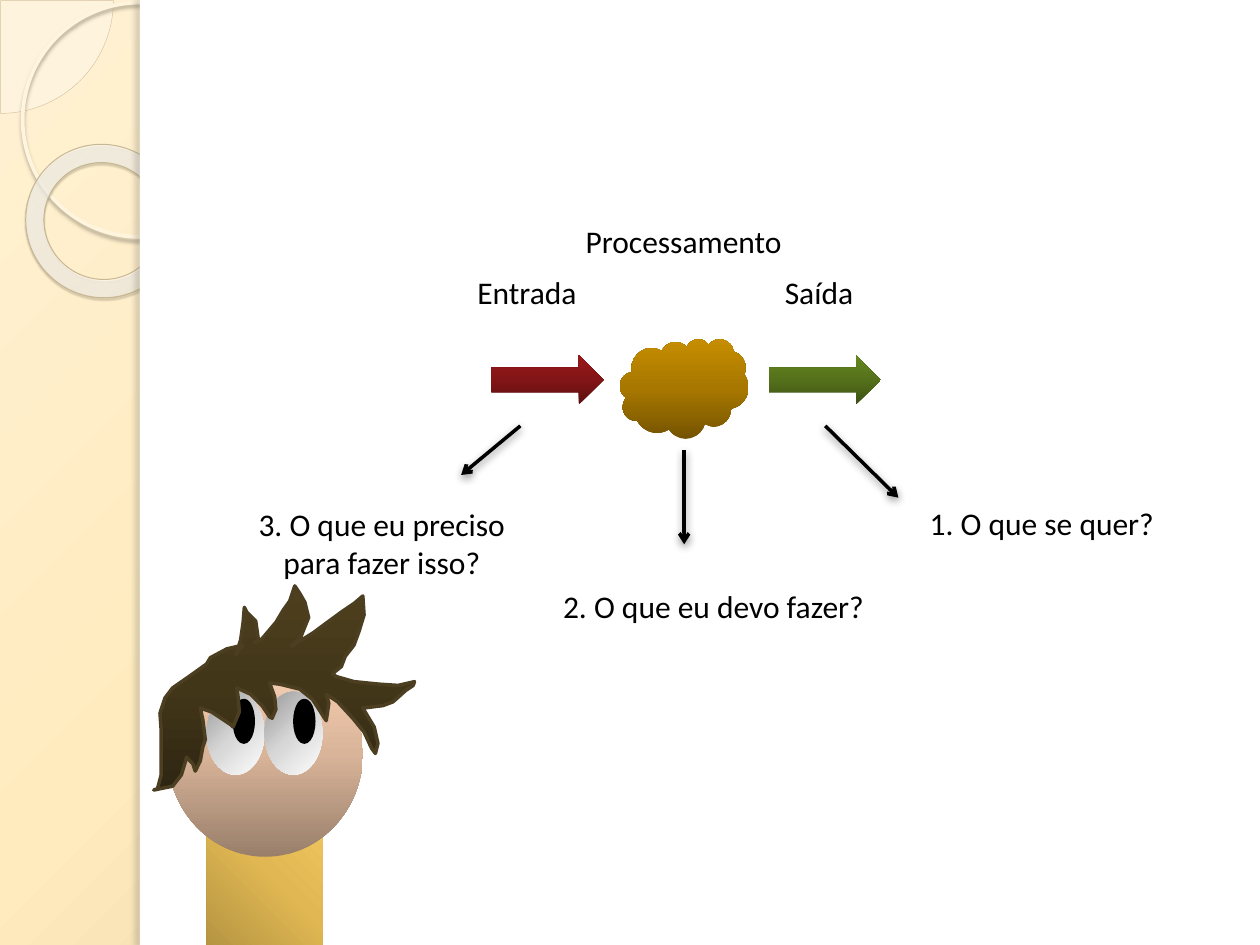
from lxml import etree
from pptx import Presentation
from pptx.dml.color import RGBColor
from pptx.enum import shapes, text
from pptx.oxml.ns import qn
from pptx.util import Inches, Pt

BLACK = RGBColor(0x00, 0x00, 0x00)
WHITE = RGBColor(0xFF, 0xFF, 0xFF)
PIE_FILL = RGBColor(0xFE, 0xFA, 0xF4)
PIE_EDGE = RGBColor(0xD3, 0xC3, 0x9F)
RING = RGBColor(0xFF, 0xF5, 0xDE)
RING_SHADOW = RGBColor(0xB0, 0xA6, 0x8F)
DONUT_EDGE = RGBColor(0xC7, 0xB8, 0x93)
DONUT_SHADOW = RGBColor(0x5A, 0x54, 0x44)
PANEL_SHADOW = RGBColor(0x73, 0x6F, 0x63)
HAIR_EDGE = RGBColor(0x4B, 0x3E, 0x21)


def ramp(*colors, at=(0, 50, 100), alpha=(100, 100, 100)):
    """Gradient stops as (position, colour, opacity)."""
    return list(zip(at, (RGBColor.from_string(c) for c in colors), alpha))


BACKDROP = ramp("FFF1D3", "FFEBBE", "C9B484", at=(0, 40, 100))
DONUT = ramp("FFFCF6", "FFFEFB", "F0D28E", at=(0, 70, 100), alpha=(70, 55, 60))
RED = ramp("5C0F10", "821516", "9B191A")
GOLD = ramp("755400", "A77700", "C68D00")
GREEN = ramp("3C5013", "55711B", "658620")
SHIRT = ramp("9D8139", "E0B752", "FFD56B")
SKIN = ramp("997F6B", "D9B499", "FFD6B8")
EYE = ramp("979797", "D7D7D7", "FFFFFF")
HAIR = ramp("2E2612", "423619", "4E401E")

# Hair outline, in hundredths of an inch
HAIR_POINTS = [
    (266, 533), (271, 529), (274, 521), (281, 512), (285, 501), (289, 488),
    (288, 473), (281, 479), (272, 485), (257, 496), (249, 502), (241, 507),
    (231, 513), (239, 505), (245, 490), (242, 478), (238, 471), (234, 465),
    (230, 477), (225, 484), (219, 494), (208, 507), (202, 510), (205, 507),
    (203, 493), (196, 486), (194, 482), (193, 494), (191, 508), (187, 520),
    (193, 512), (180, 515), (167, 522), (164, 527), (150, 537), (137, 546),
    (131, 554), (127, 566), (128, 580), (128, 615), (125, 626), (122, 627),
    (137, 624), (144, 615), (147, 605), (148, 601), (153, 606), (155, 612),
    (159, 604), (161, 593), (163, 587), (161, 571), (159, 562), (168, 565),
    (183, 575), (185, 577), (190, 565), (189, 553), (188, 546), (199, 551),
    (208, 560), (214, 569), (216, 570), (219, 563), (218, 553), (214, 542),
    (222, 543), (238, 547), (248, 555), (257, 569), (259, 572), (261, 558),
    (259, 551), (268, 557), (280, 570), (289, 581), (295, 594), (298, 598),
    (300, 590), (297, 577), (291, 567), (288, 562), (304, 560), (312, 557),
    (322, 548), (328, 544), (329, 541), (316, 544), (301, 543), (281, 541),
    (267, 537), (264, 535),
]


def add_color(parent, color, alpha=100):
    clr = etree.SubElement(parent, qn("a:srgbClr"), val=str(color))
    if alpha < 100:
        etree.SubElement(clr, qn("a:alpha"), val=str(alpha * 1000))


def set_gradient(fill, parent, stops, angle=270, focus=None):
    """Linear gradient, or a radial one when a focus rectangle is given."""
    fill.solid()
    grad = etree.Element(qn("a:gradFill"), rotWithShape="1")
    gs_list = etree.SubElement(grad, qn("a:gsLst"))
    for pos, color, alpha in stops:
        gs = etree.SubElement(gs_list, qn("a:gs"), pos=str(pos * 1000))
        add_color(gs, color, alpha)
    if focus:
        radial = etree.SubElement(grad, qn("a:path"), path="circle")
        sides = {side: str(v * 1000) for side, v in zip("ltrb", focus)}
        etree.SubElement(radial, qn("a:fillToRect"), **sides)
    else:
        etree.SubElement(grad, qn("a:lin"), ang=str(angle * 60000), scaled="0")
    parent.replace(parent.find(qn("a:solidFill")), grad)


def set_shadow(sp, shadow=None):
    """shadow is (colour, opacity, blur, distance, direction)."""
    effects = etree.SubElement(sp.element.spPr, qn("a:effectLst"))
    if shadow:
        color, alpha, blur, dist, angle = shadow
        outer = etree.SubElement(
            effects, qn("a:outerShdw"), blurRad=str(Pt(blur)), dist=str(Pt(dist)),
            dir=str(angle * 60000), algn="tl", rotWithShape="0")
        add_color(outer, color, alpha)


def style(sp, fill=None, alpha=100, angle=270, focus=None, line=None, width=1, shadow=None):
    spPr = sp.element.spPr
    if fill is None:
        sp.fill.background()
    elif isinstance(fill, list):
        set_gradient(sp.fill, spPr, fill, angle, focus)
    else:
        set_gradient(sp.fill, spPr, [(0, fill, alpha), (100, fill, alpha)]) if alpha < 100 else sp.fill.solid()
        if alpha == 100:
            sp.fill.fore_color.rgb = fill
    if line is None:
        sp.line.fill.background()
    else:
        sp.line.color.rgb = line
        sp.line.width = Pt(width)
    set_shadow(sp, shadow)


def add_shape(parent, kind, box, adj=(), rotation=0, **look):
    sp = parent.shapes.add_shape(getattr(shapes.MSO_SHAPE, kind), *map(Inches, box))
    for i, value in enumerate(adj):
        sp.adjustments[i] = value
    sp.rotation = rotation
    style(sp, **look)


def add_arrow(s, start, end):
    line = s.shapes.add_connector(
        shapes.MSO_CONNECTOR.STRAIGHT, *map(Inches, start + end))
    line.line.color.rgb = BLACK
    line.line.width = Pt(2)
    etree.SubElement(line.line._get_or_add_ln(), qn("a:tailEnd"), type="arrow")
    set_shadow(line, (BLACK, 43, 5, 2, 90))


def add_text(s, words, box, wrap=False, align=None, size=18, font="Calibri", color=BLACK):
    tf = s.shapes.add_textbox(*map(Inches, box)).text_frame
    tf.word_wrap = wrap
    tf.auto_size = text.MSO_AUTO_SIZE.SHAPE_TO_FIT_TEXT
    p = tf.paragraphs[0]
    p.alignment = align
    r = p.add_run()
    r.text = words
    r.font.size, r.font.name = Pt(size), font
    r.font.color.rgb = color


def add_backdrop(s):
    fill = s.background.fill
    fill.solid()
    bg = s.element.find(".//" + qn("p:bgPr"))
    set_gradient(fill, bg, BACKDROP, focus=(-24, -20, 124, 120))
    add_shape(s, "PIE", (-0.89, -0.89, 1.79, 1.79), adj=(0, 54.02),
              fill=PIE_FILL, alpha=33, line=PIE_EDGE, width=0.25)
    add_shape(s, "OVAL", (0.18, 0.02, 1.86, 1.86), line=RING, width=2.15,
              shadow=(RING_SHADOW, 85, 2, 2, 90))
    add_shape(s, "DONUT", (0.2, 1.15, 1.23, 1.21), adj=(0.12,), rotation=38.6,
              fill=DONUT, focus=(-408, -50, 508, 150), line=DONUT_EDGE, width=0.58,
              shadow=(DONUT_SHADOW, 35, 1, 1.2, 75))
    add_shape(s, "RECTANGLE", (1.11, 0, 8.89, 7.5), fill=WHITE)
    add_shape(s, "RECTANGLE", (1.11, 0, 0.08, 7.5), fill=WHITE,
              shadow=(PANEL_SHADOW, 25, 3, 3, 180))


def add_character(s):
    group = s.shapes.add_group_shape()
    add_shape(group, "ROUNDED_RECTANGLE", (1.64, 5.65, 0.92, 2.46), fill=SHIRT, angle=315)
    add_shape(group, "OVAL", (1.33, 5.16, 1.55, 1.64), fill=SKIN)
    for eye_x, pupil_x in ((1.64, 1.86), (2.1, 2.34)):
        add_shape(group, "OVAL", (eye_x, 5.49, 0.46, 0.66), fill=EYE, focus=(0, 0, 100, 100))
        add_shape(group, "OVAL", (pupil_x, 5.56, 0.15, 0.33), fill=BLACK, line=BLACK, width=2)
    builder = group.shapes.build_freeform(*HAIR_POINTS[0], scale=Inches(0.01))
    builder.add_line_segments(HAIR_POINTS[1:], close=True)
    style(builder.convert_to_shape(), fill=HAIR, line=HAIR_EDGE, width=2)


def main():
    prs = Presentation()
    prs.slide_width, prs.slide_height = Inches(10), Inches(7.5)
    s = prs.slides.add_slide(prs.slide_layouts[6])
    add_backdrop(s)

    # Input, processing, output
    add_shape(s, "RIGHT_ARROW", (3.9, 2.82, 0.89, 0.39), fill=RED)
    add_shape(s, "CLOUD", (4.92, 2.69, 1.02, 0.79), fill=GOLD)
    add_shape(s, "RIGHT_ARROW", (6.1, 2.82, 0.89, 0.39), fill=GREEN)

    # Pointers to the questions
    add_arrow(s, (4.13, 3.38), (3.66, 3.77))
    add_arrow(s, (5.43, 3.57), (5.43, 4.32))
    add_arrow(s, (6.55, 3.38), (7.13, 3.95))

    # Labels and questions
    add_text(s, "Entrada", (3.69, 2.12, 1, 0.4))
    add_text(s, "Saída", (6.13, 2.12, 0.75, 0.4))
    add_text(s, "Processamento", (4.55, 1.71, 1.77, 0.4))
    add_text(s, "1. O que se quer?", (7.28, 3.95, 2.01, 0.4))
    add_text(s, "2. O que eu devo fazer?", (4.37, 4.61, 2.62, 0.4))
    add_text(s, "3. O que eu preciso para fazer isso?", (1.92, 3.96, 2.22, 0.71),
             wrap=True, align=text.PP_ALIGN.CENTER)

    add_character(s)
    prs.save("out.pptx")


if __name__ == "__main__":
    main()
